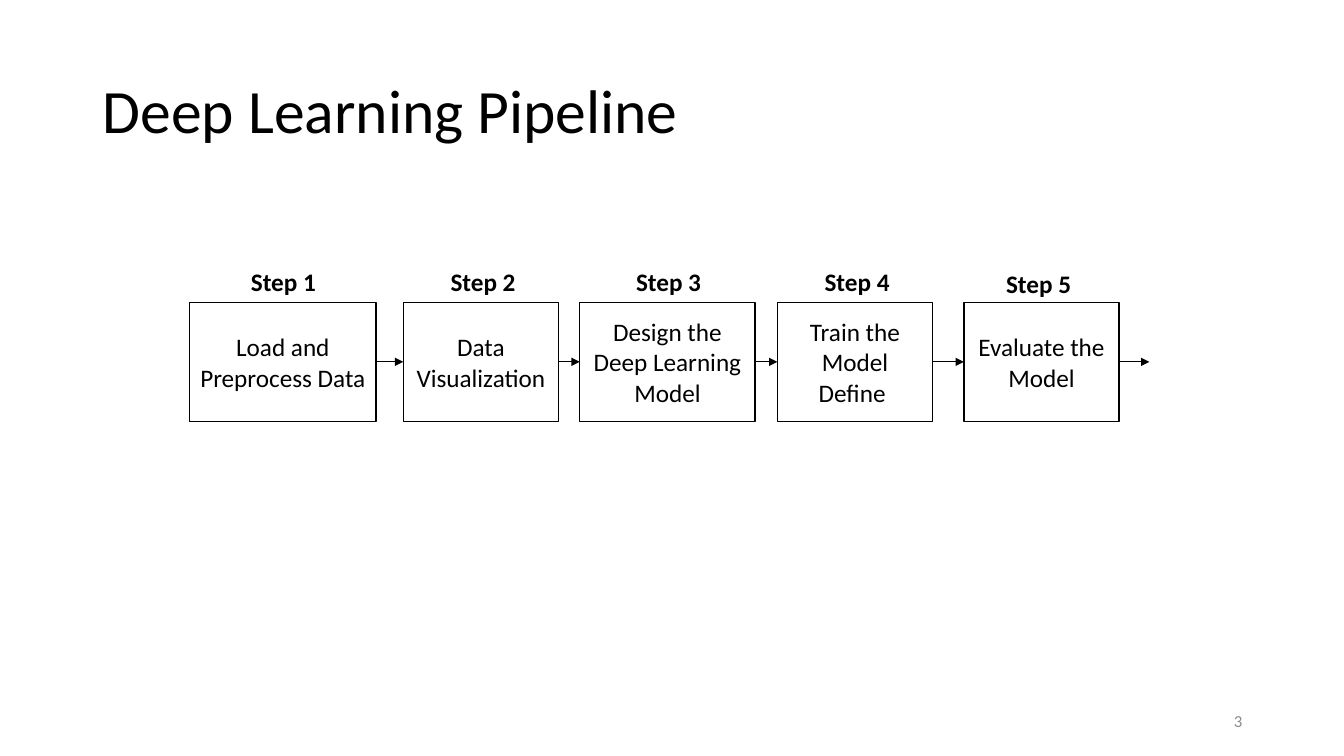
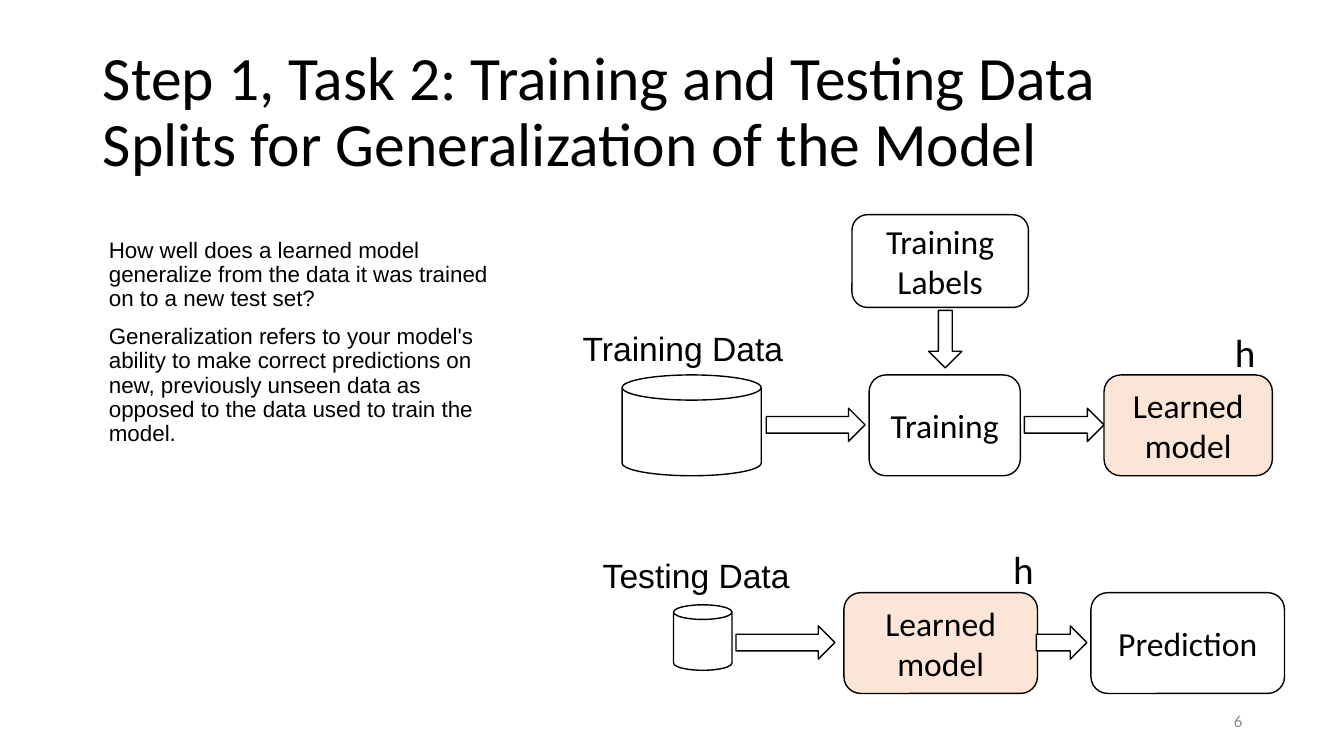
from dataclasses import dataclass
from typing import Optional

from lxml import etree
from pptx import Presentation
from pptx.dml.color import RGBColor
from pptx.enum.shapes import MSO_CONNECTOR as Connector
from pptx.enum.shapes import MSO_SHAPE as Shape
from pptx.enum.text import MSO_ANCHOR as Anchor
from pptx.enum.text import MSO_AUTO_SIZE as AutoSize
from pptx.enum.text import PP_ALIGN as Align
from pptx.oxml.ns import qn
from pptx.util import Inches, Pt

BLACK, WHITE, PEACH, GRAY = "000000", "FFFFFF", "FBE5D6", "8C8C8C"
TITLE_ONLY, TITLE_AND_BODY = 5, 1
LEFT_SIDE, RIGHT_SIDE = 1, 3


@dataclass(frozen=True)
class TextStyle:
    size: float
    name: str = "Calibri"
    color: str = BLACK
    bold: bool = False
    align: Align = Align.LEFT
    line_spacing: float = 1.0
    gap: float = 0


TITLE = TextStyle(44, line_spacing=0.9)
BODY = TextStyle(16, "Arial", line_spacing=0.9, gap=10)
STEP_LABEL = TextStyle(18, bold=True)
STEP_TEXT = TextStyle(18, align=Align.CENTER)
FLOW_TEXT = TextStyle(24, align=Align.CENTER)
DATA_LABEL = TextStyle(24, "Arial")
SYMBOL = TextStyle(28)
PAGE_NUMBER = TextStyle(12, color=GRAY, align=Align.RIGHT)


@dataclass(frozen=True)
class Step:
    left: float
    width: float
    label_left: float
    text: str
    label_top: float = 2.59


@dataclass(frozen=True)
class Part:
    kind: Shape
    left: float
    top: float
    width: float
    height: float
    text: str = ""
    fill: Optional[str] = None
    rotation: float = 0
    stem: Optional[float] = None


@dataclass(frozen=True)
class Label:
    left: float
    top: float
    width: float
    height: float
    text: str
    style: TextStyle


STEP_TOP, STEP_HEIGHT = 3, 1.18
STEPS = [
    Step(1.88, 1.85, 2.39, "Load and Preprocess Data"),
    Step(4, 1.54, 4.37, "Data Visualization"),
    Step(5.75, 1.74, 6.21, "Design the Deep Learning Model"),
    Step(7.71, 1.54, 8.08, "Train the Model\nDefine "),
    Step(9.56, 1.54, 9.88, "Evaluate the Model", 2.61),
]
LAST_ARROW_END = 11.4

BOX, ARROW, CAN = Shape.ROUNDED_RECTANGLE, Shape.RIGHT_ARROW, Shape.CAN
FLOW_PARTS = [
    # Training row
    Part(BOX, 8.45, 2.13, 1.75, 0.92, "Training Labels"),
    Part(BOX, 8.62, 3.72, 1.5, 1, "Training"),
    Part(ARROW, 7.6, 4.05, 0.98, 0.33, fill=WHITE),
    Part(ARROW, 9.09, 3.2, 0.57, 0.33, fill=WHITE, rotation=90, stem=0.42),
    Part(ARROW, 10.16, 4.05, 0.79, 0.33, fill=WHITE),
    Part(BOX, 10.95, 3.72, 1.67, 1, "Learned model", PEACH),
    Part(CAN, 6.17, 3.72, 1.38, 1),
    # Testing row
    Part(BOX, 10.82, 5.88, 1.92, 1, "Prediction", WHITE),
    Part(BOX, 8.37, 5.88, 1.92, 1, "Learned model", PEACH),
    Part(ARROW, 7.3, 6.21, 0.98, 0.33, fill=WHITE),
    Part(ARROW, 10.28, 6.21, 0.5, 0.33, fill=WHITE),
    Part(CAN, 6.68, 6, 0.58, 0.65),
]
FLOW_LABELS = [
    Label(5.68, 3.2, 2.21, 0.5, "Training Data", DATA_LABEL),
    Label(12.15, 3.21, 0.41, 0.57, "h", SYMBOL),
    Label(9.95, 5.36, 0.41, 0.57, "h", SYMBOL),
    Label(5.88, 5.46, 2.07, 0.5, "Testing Data", DATA_LABEL),
]
BODY_TEXT = (
    "How well does a learned model generalize from the data it was trained on "
    "to a new test set?\n"
    "Generalization refers to your model's ability to make correct predictions on "
    "new, previously unseen data as opposed to the data used to train the model."
)


def rgb(color: str) -> RGBColor:
    return RGBColor.from_string(color)


def write(frame, text: str, style: TextStyle, plain_list: bool = False) -> None:
    """Fill a text frame, one paragraph for each line of text."""
    for index, line in enumerate(text.split("\n")):
        para = frame.add_paragraph() if index else frame.paragraphs[0]
        para.text = line
        para.alignment = style.align
        para.line_spacing = style.line_spacing
        para.space_before = Pt(style.gap if index else 0)
        if plain_list:
            properties = para._p.get_or_add_pPr()
            properties.set("marL", "0")
            properties.set("indent", "0")
            etree.SubElement(properties, qn("a:buNone"))
        font = para.font
        font.size, font.name, font.bold = Pt(style.size), style.name, style.bold
        font.color.rgb = rgb(style.color)


def place(holder, left: float, top: float, width: float, height: float) -> None:
    holder.left, holder.top = Inches(left), Inches(top)
    holder.width, holder.height = Inches(width), Inches(height)
    holder.text_frame.auto_size = AutoSize.NONE


def add_label(page, label: Label, wrap: bool = False):
    box = page.shapes.add_textbox(Inches(label.left), Inches(label.top),
                                  Inches(label.width), Inches(label.height))
    box.text_frame.word_wrap = wrap
    write(box.text_frame, label.text, label.style)
    return box


def add_part(page, part: Part, style: TextStyle):
    shape = page.shapes.add_shape(part.kind, Inches(part.left), Inches(part.top),
                                  Inches(part.width), Inches(part.height))
    shape.shadow.inherit = False
    shape.rotation = part.rotation
    if part.stem is not None:
        shape.adjustments[0] = part.stem
    if part.fill:
        shape.fill.solid()
        shape.fill.fore_color.rgb = rgb(part.fill)
    else:
        shape.fill.background()
    shape.line.color.rgb = rgb(BLACK)
    shape.line.width = Pt(1)
    if part.text:
        shape.text_frame.vertical_anchor = Anchor.MIDDLE
        write(shape.text_frame, part.text, style)
    return shape


def add_arrow(page, start: float, end: float, y: float):
    arrow = page.shapes.add_connector(Connector.STRAIGHT, Inches(start), Inches(y),
                                      Inches(end), Inches(y))
    arrow.line.color.rgb = rgb(BLACK)
    arrow.line.width = Pt(0.75)
    etree.SubElement(arrow.line._get_or_add_ln(), qn("a:tailEnd"), type="triangle")
    etree.SubElement(arrow._element.spPr, qn("a:effectLst"))
    return arrow


def add_page(deck, layout: int, title: str, number: str):
    """Add a slide with the shared title and page number."""
    page = deck.slides.add_slide(deck.slide_layouts[layout])
    heading = page.shapes.title
    place(heading, 0.92, 0.4, 11.5, 1.45)
    heading.text_frame.vertical_anchor = Anchor.MIDDLE
    write(heading.text_frame, title, TITLE)
    footer = add_label(page, Label(9.42, 6.95, 3, 0.4, number, PAGE_NUMBER), wrap=True)
    footer.text_frame.vertical_anchor = Anchor.MIDDLE
    return page


def build_pipeline(deck) -> None:
    page = add_page(deck, TITLE_ONLY, "Deep Learning Pipeline", "3")
    boxes = []
    for number, step in enumerate(STEPS, 1):
        part = Part(Shape.RECTANGLE, step.left, STEP_TOP, step.width, STEP_HEIGHT, step.text)
        boxes.append(add_part(page, part, STEP_TEXT))
        add_label(page, Label(step.label_left, step.label_top, 0.85, 0.4,
                              f"Step {number}", STEP_LABEL))
    # Arrows from each step to the next, and one leading out of the last
    ends = [step.left for step in STEPS[1:]] + [LAST_ARROW_END]
    for index, (step, end) in enumerate(zip(STEPS, ends)):
        arrow = add_arrow(page, step.left + step.width, end, STEP_TOP + STEP_HEIGHT / 2)
        arrow.begin_connect(boxes[index], RIGHT_SIDE)
        if index + 1 < len(boxes):
            arrow.end_connect(boxes[index + 1], LEFT_SIDE)


def build_data_split(deck) -> None:
    title = "Step 1, Task 2: Training and Testing Data Splits for Generalization of the Model"
    page = add_page(deck, TITLE_AND_BODY, title, "6")
    body = page.placeholders[1]
    place(body, 0.98, 2.32, 4.2, 4.93)
    write(body.text_frame, BODY_TEXT, BODY, plain_list=True)
    for part in FLOW_PARTS:
        add_part(page, part, FLOW_TEXT)
    for label in FLOW_LABELS:
        add_label(page, label)


def main() -> None:
    deck = Presentation()
    deck.slide_width, deck.slide_height = Inches(13.33), Inches(7.5)
    build_pipeline(deck)
    build_data_split(deck)
    deck.save("out.pptx")


if __name__ == "__main__":
    main()
